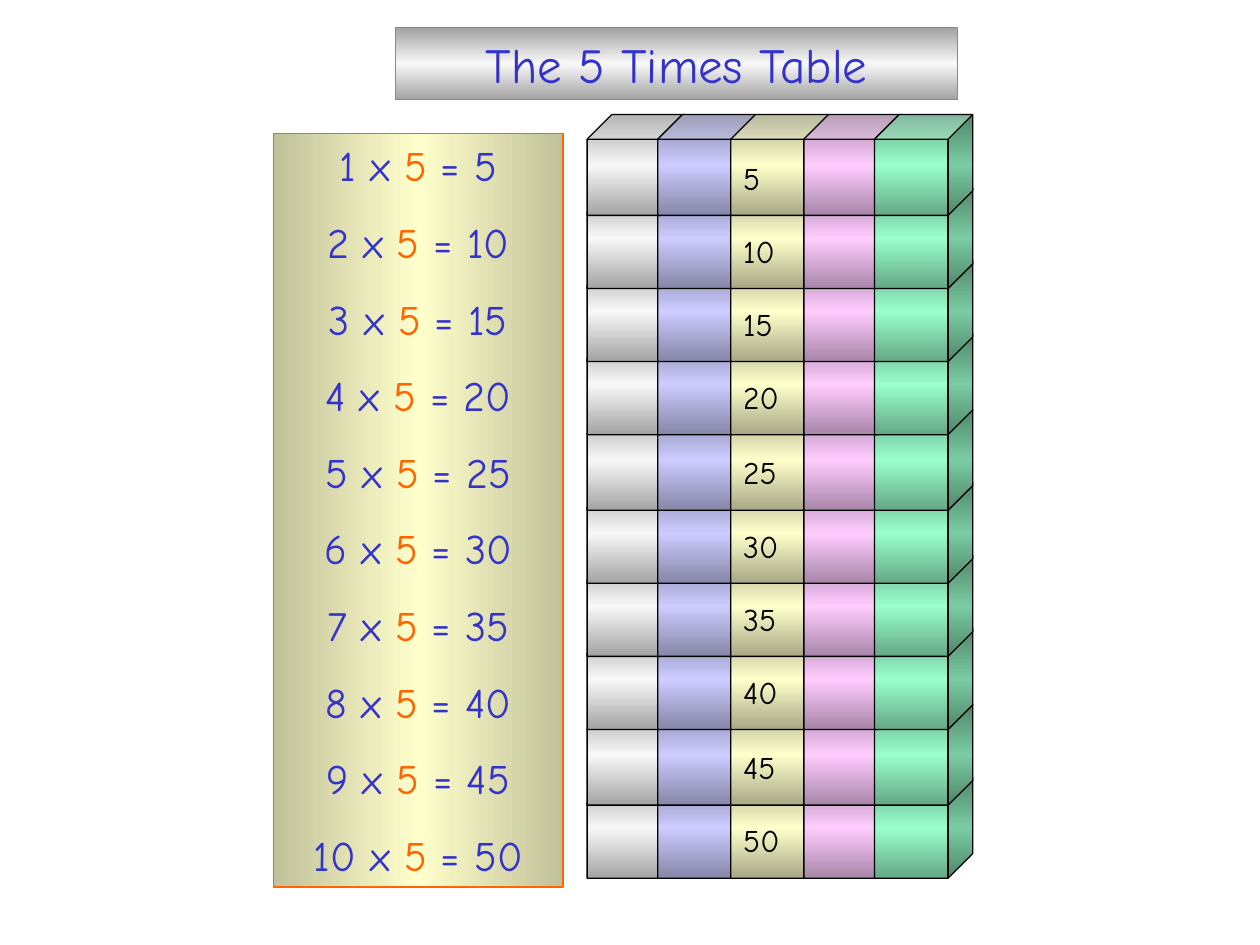
from copy import deepcopy

from pptx import Presentation
from pptx import util as u
from pptx.dml.color import RGBColor
from pptx.enum import shapes, text
from pptx.oxml.ns import qn

FONT = "Comic Neue"
BLACK = RGBColor(0x00, 0x00, 0x00)
BLUE = RGBColor(0x33, 0x33, 0xCC)
ORANGE = RGBColor(0xFF, 0x66, 0x00)
CREAM = RGBColor(0xFF, 0xFF, 0xCC)
PANEL_EDGE = RGBColor(0xC1, 0xC1, 0x9A)
SILVER = (RGBColor(0xA3, 0xA3, 0xA3), RGBColor(0xF8, 0xF8, 0xF8))
LILAC = (RGBColor(0x86, 0x86, 0xA8), RGBColor(0xCC, 0xCC, 0xFF))
YELLOW = (RGBColor(0xA8, 0xA8, 0x86), CREAM)
PINK = (RGBColor(0xA8, 0x86, 0xA8), RGBColor(0xFF, 0xCC, 0xFF))
GREEN = (RGBColor(0x65, 0xA8, 0x86), RGBColor(0x99, 0xFF, 0xCC))

TABLE = 5
ROWS = 10
COLUMNS = [(4.66, SILVER), (5.22, LILAC), (5.8, YELLOW), (6.38, PINK), (6.94, GREEN)]
LABEL_LEFT = 5.8


def shade(shape, edge, middle, angle=90, line=BLACK):
    """Fill with a gradient that runs edge, middle, edge, and outline the shape."""
    shape.fill.gradient()
    shape.fill.gradient_angle = angle
    stop_list = shape._element.spPr.find(".//" + qn("a:gsLst"))
    stop_list.insert(1, deepcopy(stop_list[0]))
    for stop, position, color in zip(shape.fill.gradient_stops, (0, 0.5, 1), (edge, middle, edge)):
        stop.position = position
        stop.color.rgb = color
    shape.line.color.rgb = line
    shape.line.width = u.Pt(0.75)


def add_span(para, words, size=24, color=BLUE):
    span = para.add_run()
    span.text = words
    span.font.name = FONT
    span.font.size = u.Pt(size)
    span.font.color.rgb = color


deck = Presentation()
deck.slide_width, deck.slide_height = u.Inches(10), u.Inches(7.5)
page = deck.slides.add_slide(deck.slide_layouts[5])

# Title bar
title = page.shapes.title
title.left, title.top = u.Inches(3.14), u.Inches(0.22)
title.width, title.height = u.Inches(4.46), u.Inches(0.57)
shade(title, *SILVER, line=ORANGE)
title.text_frame.auto_size = text.MSO_AUTO_SIZE.NONE
title.text_frame.vertical_anchor = text.MSO_ANCHOR.MIDDLE
heading = title.text_frame.paragraphs[0]
heading.alignment = text.PP_ALIGN.CENTER
add_span(heading, f"The {TABLE} Times Table", size=28)

# Panel of sums
panel = page.shapes.add_shape(
    shapes.MSO_SHAPE.RECTANGLE, u.Inches(2.17), u.Inches(1.06), u.Inches(2.3), u.Inches(5.98))
panel.shadow.inherit = False
shade(panel, PANEL_EDGE, CREAM, angle=0, line=ORANGE)
frame = panel.text_frame
frame.word_wrap = True
frame.vertical_anchor = text.MSO_ANCHOR.TOP
for factor in range(1, ROWS + 1):
    if factor == 1:
        para = frame.paragraphs[0]
    else:
        para = frame.add_paragraph()
        para.space_before = u.Pt(15)
    para.alignment = text.PP_ALIGN.CENTER
    add_span(para, f"{factor} x ")
    add_span(para, str(TABLE), color=ORANGE)
    add_span(para, f" = {factor * TABLE}")

# Tower of cubes, stacked from the bottom row up so each row overlaps the one below
for row in reversed(range(ROWS)):
    top = 0.91 + 0.58 * row + 0.02 * (row // 4)
    for left, colors in COLUMNS:
        cube = page.shapes.add_shape(
            shapes.MSO_SHAPE.CUBE, u.Inches(left), u.Inches(top), u.Inches(0.78), u.Inches(0.8))
        cube.adjustments[0] = 0.25
        cube.shadow.inherit = False
        shade(cube, *colors)
        if left == LABEL_LEFT:
            box = page.shapes.add_textbox(
                u.Inches(left), u.Inches(top + 0.3), u.Inches(0.75), u.Inches(0.4))
            box.text_frame.word_wrap = True
            add_span(box.text_frame.paragraphs[0], str((row + 1) * TABLE), size=18, color=BLACK)

deck.save("out.pptx")
